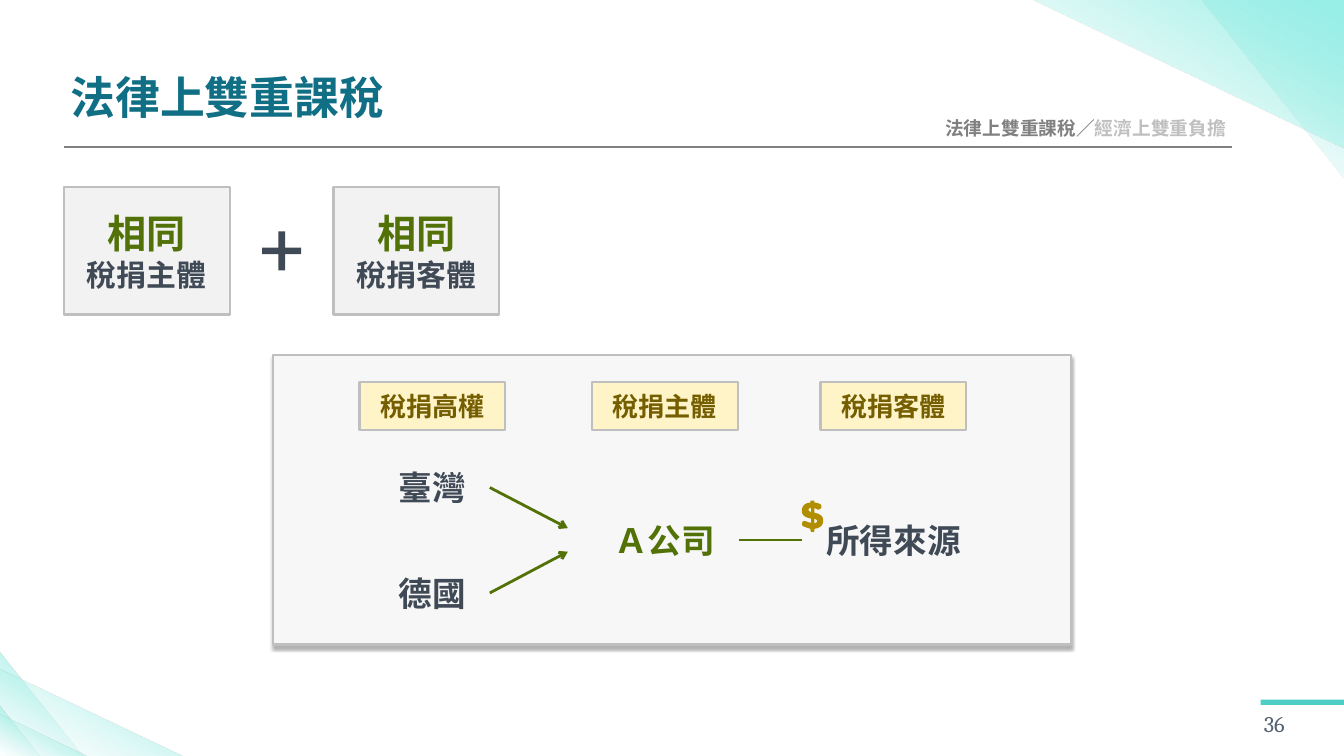
from dataclasses import dataclass

from lxml import etree
from pptx import Presentation
from pptx.dml.color import RGBColor
from pptx.enum.shapes import MSO_CONNECTOR as Connector, MSO_SHAPE as Shape
from pptx.enum.text import MSO_ANCHOR as Anchor, MSO_AUTO_SIZE as AutoSize, PP_ALIGN as Align
from pptx.oxml import parse_xml
from pptx.oxml.ns import nsdecls, qn
from pptx.util import Pt


@dataclass(frozen=True)
class Theme:
    font: str = "Cambria"
    title: str = "116F85"
    ink: str = "404A56"
    green: str = "527208"
    gold: str = "B08E00"
    tag_text: str = "755E00"
    tag_fill: str = "FFF4C8"
    card_fill: str = "F2F2F2"
    panel_fill: str = "F7F7F7"
    border: str = "BFBFBF"
    grey: str = "808080"
    accent: str = "4ECDC4"
    number: str = "556272"
    title_size: int = 48
    key_size: int = 42
    node_size: int = 36
    criterion_size: int = 32
    tag_size: int = 28
    number_size: int = 24
    crumb_size: int = 20
    border_width: float = 2.25
    arrow_width: float = 3


THEME = Theme()
GRADIENT = (
    f'<a:gradFill {nsdecls("a")} rotWithShape="0"><a:gsLst>'
    '<a:gs pos="0"><a:srgbClr val="97F0E8"/></a:gs>'
    '<a:gs pos="50000"><a:srgbClr val="A6F0E8"><a:alpha val="44000"/></a:srgbClr></a:gs>'
    '<a:gs pos="100000"><a:srgbClr val="E0F9F6"><a:alpha val="0"/></a:srgbClr></a:gs>'
    '</a:gsLst><a:lin ang="7200000" scaled="0"/></a:gradFill>'
)
SHADOW = (
    f'<a:outerShdw {nsdecls("a")} blurRad="50800" dist="50800" dir="5400000" '
    'algn="t" rotWithShape="0"><a:srgbClr val="000000"><a:alpha val="30000"/>'
    '</a:srgbClr></a:outerShdw>'
)
DOLLAR_CONTOURS = [
    [(16, 47), (18, 47, 19, 46, 19, 44), (19, 42), (27, 41, 32, 37, 32, 30),
     (32, 23, 28, 20, 19, 18), (19, 11), (20, 12, 22, 12, 23, 13),
     (25, 14, 27, 13, 29, 11), (30, 9, 29, 6, 27, 5), (25, 4, 22, 3, 19, 3),
     (19, 1), (19, 0, 18, 0, 16, 0), (15, 0, 13, 0, 13, 1), (13, 3),
     (5, 3, 0, 8, 0, 15), (0, 22, 5, 25, 14, 27), (14, 33),
     (12, 33, 9, 32, 7, 31), (5, 30, 2, 30, 1, 32), (0, 34, 0, 37, 2, 38),
     (6, 40, 10, 41, 13, 42), (13, 44), (13, 46, 15, 47, 16, 47)],
    [(19, 27), (22, 28, 23, 29, 23, 31), (23, 32, 21, 33, 19, 34)],
    [(10, 14), (10, 12, 11, 11, 14, 11), (14, 17), (11, 16, 10, 15, 10, 14)],
]


def rgb(value):
    return RGBColor.from_string(value)


def add_block(slide, kind, box, fill, border=None):
    block = slide.shapes.add_shape(kind, *map(Pt, box))
    block.shadow.inherit = False
    block.fill.solid()
    block.fill.fore_color.rgb = rgb(fill)
    if border:
        block.line.color.rgb = rgb(border)
        block.line.width = Pt(THEME.border_width)
    else:
        block.line.fill.background()
    return block


def add_ray(slide, box, rotation=0):
    ray = add_block(slide, Shape.RIGHT_TRIANGLE, box, THEME.accent)
    ray.rotation = rotation
    solid = ray._element.spPr.find(qn("a:solidFill"))
    solid.getparent().replace(solid, parse_xml(GRADIENT))


def write(holder, lines, align=Align.CENTER, inset=0, bold=True):
    frame = holder.text_frame
    frame.word_wrap = True
    frame.auto_size = AutoSize.NONE
    frame.vertical_anchor = Anchor.MIDDLE
    frame.margin_top = frame.margin_bottom = 0
    frame.margin_left = frame.margin_right = Pt(inset)
    for index, (text, size, color) in enumerate(lines):
        line = frame.add_paragraph() if index else frame.paragraphs[0]
        line.text = text
        line.alignment = align
        line.font.name = THEME.font
        line.font.size = Pt(size)
        line.font.bold = bold
        line.font.color.rgb = rgb(color)
    return holder


def add_label(slide, box, text, size, color, **style):
    label = slide.shapes.add_textbox(*map(Pt, box))
    return write(label, [(text, size, color)], **style)


def add_line(slide, start, end, color, width, arrow=False):
    line = slide.shapes.add_connector(Connector.STRAIGHT, *map(Pt, start + end))
    line.line.color.rgb = rgb(color)
    line.line.width = Pt(width)
    if arrow:
        etree.SubElement(line.line._get_or_add_ln(), qn("a:tailEnd"), type="arrow")
    etree.SubElement(line._element.spPr, qn("a:effectLst"))
    return line


def contour_points(contour, left, top, unit=0.72, steps=5):
    points = [contour[0]]
    for segment in contour[1:]:
        if len(segment) == 2:
            points.append(segment)
            continue
        x0, y0 = points[-1]
        x1, y1, x2, y2, x3, y3 = segment
        for step in range(1, steps + 1):
            t = step / steps
            a, b, c, d = (1 - t) ** 3, 3 * t * (1 - t) ** 2, 3 * t * t * (1 - t), t ** 3
            points.append((a * x0 + b * x1 + c * x2 + d * x3,
                           a * y0 + b * y1 + c * y2 + d * y3))
    return [(Pt(left + x * unit), Pt(top + y * unit)) for x, y in points]


def add_dollar(slide, left, top):
    outer, *holes = [contour_points(c, left, top) for c in DOLLAR_CONTOURS]
    outline = slide.shapes.build_freeform(*outer[0])
    outline.add_line_segments(outer[1:], close=True)
    for hole in holes:
        outline.move_to(*hole[0])
        outline.add_line_segments(hole[1:], close=True)
    dollar = outline.convert_to_shape()
    dollar.shadow.inherit = False
    dollar.fill.solid()
    dollar.fill.fore_color.rgb = rgb(THEME.gold)
    dollar.line.fill.background()


def add_header(slide):
    title = slide.shapes.title
    title.left, title.top, title.width, title.height = map(Pt, (68.4, 70.6, 353.6, 65.4))
    write(title, [("法律上雙重課稅", THEME.title_size, THEME.title)], Align.LEFT, 7.2)
    add_line(slide, (68.4, 157.7), (1320.5, 157.7), THEME.grey, THEME.border_width)
    crumb = add_label(slide, (1003, 121, 317.5, 31.7), "法律上雙重課稅／",
                      THEME.crumb_size, THEME.grey, align=Align.RIGHT, inset=7.2)
    inactive = crumb.text_frame.paragraphs[0].add_run()
    inactive.text = "經濟上雙重負擔"
    inactive.font.color.rgb = rgb(THEME.border)


def add_criteria(slide):
    for left, criterion in ((68.4, "稅捐主體"), (357.4, "稅捐客體")):
        card = add_block(slide, Shape.RECTANGLE, (left, 200.2, 177.8, 136.8),
                         THEME.card_fill, THEME.border)
        write(card, [("相同", THEME.key_size, THEME.green),
                     (criterion, THEME.criterion_size, THEME.ink)])
    plus = add_block(slide, Shape.MATH_PLUS, (273.4, 240.4, 56.9, 56.9), THEME.ink)
    plus.adjustments[0] = 0.126


def add_diagram(slide):
    panel = add_block(slide, Shape.RECTANGLE, (293, 380.2, 854.6, 310.3),
                      THEME.panel_fill, THEME.border)
    panel._element.spPr.find(qn("a:effectLst")).append(parse_xml(SHADOW))
    for left, heading in ((385.2, "稅捐高權"), (634.3, "稅捐主體"), (879.1, "稅捐客體")):
        tag = add_block(slide, Shape.RECTANGLE, (left, 409.7, 156.2, 51.1),
                        THEME.tag_fill, THEME.border)
        write(tag, [(heading, THEME.tag_size, THEME.tag_text)])

    company = add_label(slide, (632.2, 553, 159.8, 51.1), "Ａ公司", THEME.node_size, THEME.green)
    income = add_label(slide, (859, 553, 196.6, 51.1), "所得來源", THEME.node_size, THEME.ink)
    for country, top, tip in (("臺灣", 496.8, 565.9), ("德國", 609.8, 591.1)):
        state = add_label(slide, (401, top, 123.8, 51.1), country, THEME.node_size, THEME.ink)
        claim = add_line(slide, (524.8, top + 25.55), (608.4, tip),
                         THEME.green, THEME.arrow_width, arrow=True)
        claim.begin_connect(state, 3)
    link = add_line(slide, (859, 578.55), (792, 578.55), THEME.green, THEME.arrow_width)
    link.begin_connect(income, 1)
    link.end_connect(company, 3)
    add_dollar(slide, 859, 536.4)


def main():
    deck = Presentation()
    deck.slide_width, deck.slide_height = Pt(1440), Pt(810)
    slide = deck.slides.add_slide(deck.slide_layouts[5])
    for width, height in ((152.6, 192.2), (334.8, 159.1)):
        add_ray(slide, (1440 - width, 0, width, height), 180)
    for width, height in ((88.6, 112), (195.1, 92.9), (41.8, 53.3), (92.2, 43.9)):
        add_ray(slide, (0, 810 - height, width, height))
    add_block(slide, Shape.RECTANGLE, (1350.7, 749.5, 89.3, 5.8), THEME.accent)
    add_label(slide, (1347.1, 756, 92.9, 38.2), "36", THEME.number_size, THEME.number,
              align=Align.LEFT, inset=7.2, bold=False)
    add_header(slide)
    add_diagram(slide)
    add_criteria(slide)
    deck.save("out.pptx")


if __name__ == "__main__":
    main()
